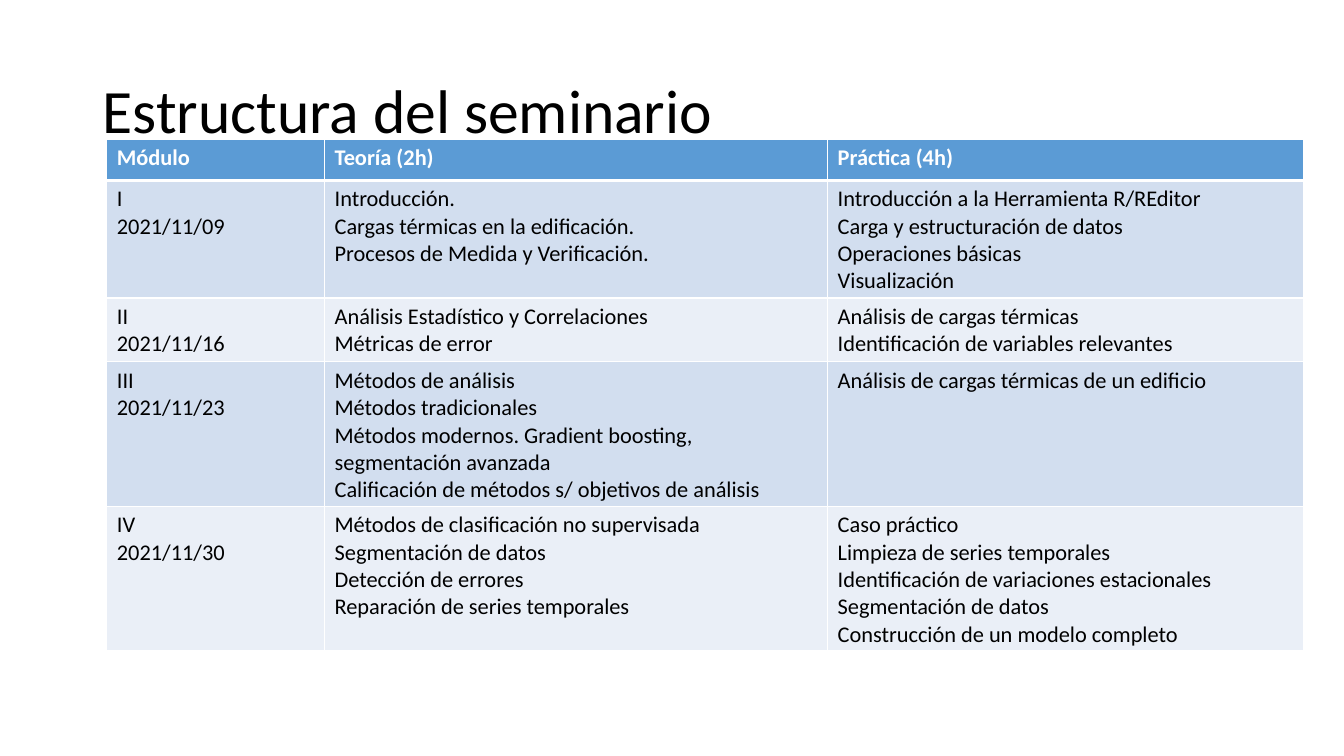
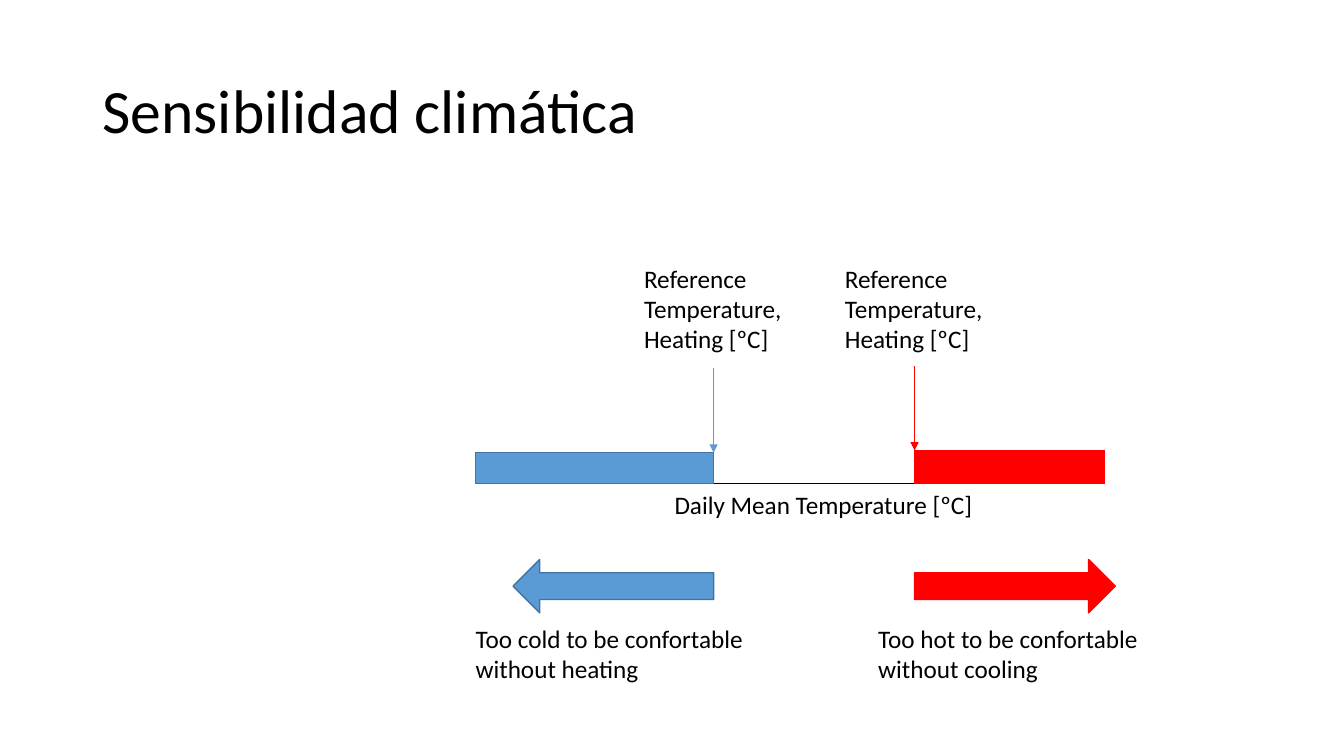
from pptx import Presentation
from pptx.dml.color import RGBColor
from pptx.enum.shapes import MSO_CONNECTOR, MSO_SHAPE
from pptx.enum.text import MSO_ANCHOR
from pptx.oxml import parse_xml
from pptx.oxml.ns import nsdecls
from pptx.util import Inches, Pt

# Shared style
FONT = "Calibri"
COLOURS = {
    name: RGBColor.from_string(value)
    for name, value in {
        "text": "000000", "white": "FFFFFF", "blue": "5B9BD5", "blue_edge": "43739E",
        "red": "FF0000", "band_dark": "D2DEEF", "band_light": "EAEFF7",
    }.items()
}

deck = Presentation()
deck.slide_width, deck.slide_height = Inches(13.33), Inches(7.5)
# Grid of 100 columns by 100 rows over the slide
COL, ROW = deck.slide_width / 100, deck.slide_height / 100


def write(frame, lines, size, colour="text", bold=False, spacing=None):
    for index, line in enumerate(lines):
        paragraph = frame.add_paragraph() if index else frame.paragraphs[0]
        if spacing:
            paragraph.line_spacing = spacing
        run = paragraph.add_run()
        run.text = line
        run.font.name, run.font.size, run.font.bold = FONT, Pt(size), bold
        run.font.color.rgb = COLOURS[colour]


def add_text(slide, left, top, width, height, text, size=18, wrap=True, **style):
    frame = slide.shapes.add_textbox(
        int(left * COL), int(top * ROW), int(width * COL), int(height * ROW)
    ).text_frame
    frame.word_wrap = wrap
    write(frame, [text], size, **style)
    return frame


# Both slides with their titles
slides = []
for title in ("Estructura del seminario", "Sensibilidad climática"):
    slide = deck.slides.add_slide(deck.slide_layouts[6])
    heading = add_text(slide, 6.9, 5.33, 86.25, 19.33, title, size=44, spacing=0.9)
    heading.vertical_anchor = MSO_ANCHOR.MIDDLE
    slides.append(slide)
structure, climate = slides

# Seminar structure: one row per module, one list of lines per cell
modules = [
    (["Módulo"], ["Teoría (2h)"], ["Práctica (4h)"]),
    (
        ["I", "2021/11/09"],
        ["Introducción.", "Cargas térmicas en la edificación.",
         "Procesos de Medida y Verificación."],
        ["Introducción a la Herramienta R/REditor", "Carga y estructuración de datos",
         "Operaciones básicas", "Visualización"],
    ),
    (
        ["II", "2021/11/16"],
        ["Análisis Estadístico y Correlaciones", "Métricas de error"],
        ["Análisis de cargas térmicas", "Identificación de variables relevantes"],
    ),
    (
        ["III", "2021/11/23"],
        ["Métodos de análisis", "Métodos tradicionales",
         "Métodos modernos. Gradient boosting, segmentación avanzada",
         "Calificación de métodos s/ objetivos de análisis"],
        ["Análisis de cargas térmicas de un edificio"],
    ),
    (
        ["IV", "2021/11/30"],
        ["Métodos de clasificación no supervisada", "Segmentación de datos",
         "Detección de errores", "Reparación de series temporales"],
        ["Caso práctico", "Limpieza de series temporales",
         "Identificación de variaciones estacionales", "Segmentación de datos",
         "Construcción de un modelo completo"],
    ),
]
column_widths = [16.2, 37.43, 35.4]
row_height = 5.47
schedule = structure.shapes.add_table(
    len(modules), len(column_widths), int(7.95 * COL), int(18.4 * ROW),
    int(sum(column_widths) * COL), int(row_height * len(modules) * ROW),
).table
for column, width in zip(schedule.columns, column_widths):
    column.width = int(width * COL)

for row_index, module in enumerate(modules):
    is_header = row_index == 0
    band = "blue" if is_header else "band_dark" if row_index % 2 else "band_light"
    borders = {"L": 1, "R": 1, "T": 3 if row_index == 1 else 1, "B": 3 if is_header else 1}
    for column_index, lines in enumerate(module):
        cell = schedule.cell(row_index, column_index)
        write(cell.text_frame, lines, 16, "white" if is_header else "text", is_header)
        properties = cell._tc.get_or_add_tcPr()
        for side, points in borders.items():
            properties.append(parse_xml(
                f'<a:ln{side} {nsdecls("a")} w="{Pt(points)}"><a:solidFill>'
                f'<a:srgbClr val="{COLOURS["white"]}"/></a:solidFill></a:ln{side}>'
            ))
        cell.fill.solid()
        cell.fill.fore_color.rgb = COLOURS[band]

# Climate sensitivity: temperature axis, heating side and cooling side
AXIS_ROW, AXIS_START, AXIS_END = 64, 35.4, 82.2
BLOCK_WIDTH = 14.93
cold_edge, hot_edge = 53.1, 68.05
sides = [
    # fill, outline, edge, bar start, bar end, bar top, block arrow, its left, caption left, caption
    ("blue", "blue_edge", cold_edge, AXIS_START, cold_edge, 59.87,
     MSO_SHAPE.LEFT_ARROW, cold_edge - BLOCK_WIDTH, 34.65,
     "Too cold to be confortable without heating"),
    ("red", "red", hot_edge, hot_edge, AXIS_END, 59.6,
     MSO_SHAPE.RIGHT_ARROW, hot_edge, 64.6,
     "Too hot to be confortable without cooling"),
]

# Axis and pointers to the reference temperatures
lines = [(AXIS_START, AXIS_ROW, AXIS_END, AXIS_ROW, "text", False)]
lines += [(edge, top - 11.2, edge, top, fill, True) for fill, _, edge, _, _, top, *_ in sides]
for x1, y1, x2, y2, colour, has_head in lines:
    line = climate.shapes.add_connector(
        MSO_CONNECTOR.STRAIGHT, int(x1 * COL), int(y1 * ROW), int(x2 * COL), int(y2 * ROW)
    )
    line.line.color.rgb = COLOURS[colour]
    line.line.width = Pt(0.5)
    if has_head:
        line.line._get_or_add_ln().append(
            parse_xml(f'<a:tailEnd {nsdecls("a")} type="triangle"/>')
        )
    line._element.spPr.append(parse_xml(f'<a:effectLst {nsdecls("a")}/>'))

add_text(climate, 49.45, AXIS_ROW, 23.9, 5.33, "Daily Mean Temperature [ºC]", wrap=False)

for (fill, outline, edge, bar_start, bar_end, bar_top,
     block, block_left, caption_left, caption) in sides:
    # Bar on the axis and block arrow below it
    for preset, left, top, width, height in (
        (MSO_SHAPE.RECTANGLE, bar_start, bar_top, bar_end - bar_start, AXIS_ROW - bar_top),
        (block, block_left, 74, BLOCK_WIDTH, 7.07),
    ):
        shape = climate.shapes.add_shape(
            preset, int(left * COL), int(top * ROW), int(width * COL), int(height * ROW)
        )
        shape.shadow.inherit = False
        shape.fill.solid()
        shape.fill.fore_color.rgb = COLOURS[fill]
        shape.line.color.rgb = COLOURS[outline]
        shape.line.width = Pt(1)
    # Reference label and caption
    add_text(climate, edge - 5.92, 34.13, 12, 13.47, "Reference Temperature, Heating [ºC]")
    add_text(climate, caption_left, 81.73, 21.83, 9.47, caption)

deck.save("out.pptx")
